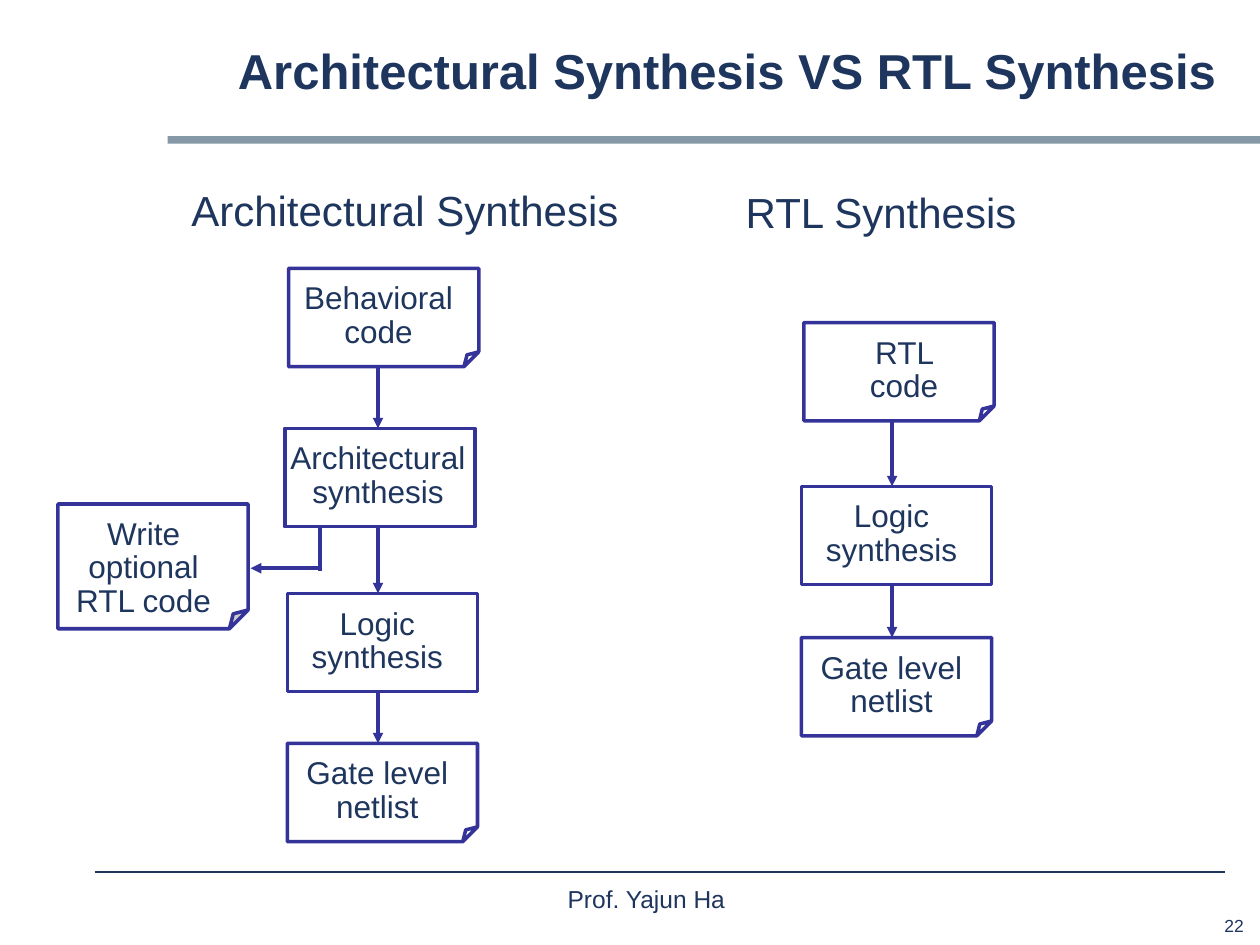
from dataclasses import dataclass

from lxml import etree
from pptx import Presentation
from pptx.dml.color import RGBColor
from pptx.enum.shapes import MSO_CONNECTOR, MSO_SHAPE
from pptx.enum.text import MSO_ANCHOR, MSO_AUTO_SIZE, PP_ALIGN
from pptx.oxml.ns import qn
from pptx.util import Inches, Pt

NAVY = RGBColor(0x1E, 0x35, 0x5E)
INDIGO = RGBColor(0x33, 0x33, 0x99)
SLATE = RGBColor(0x84, 0x99, 0xA5)
WHITE = RGBColor(0xFF, 0xFF, 0xFF)
FONT = "Arial"
LEFT, CENTER, RIGHT = PP_ALIGN.LEFT, PP_ALIGN.CENTER, PP_ALIGN.RIGHT
MIDDLE = MSO_ANCHOR.MIDDLE
NO_FIT, GROW = MSO_AUTO_SIZE.NONE, MSO_AUTO_SIZE.SHAPE_TO_FIT_TEXT
RECTANGLE, FOLDED = MSO_SHAPE.RECTANGLE, MSO_SHAPE.FOLDED_CORNER
STRAIGHT = MSO_CONNECTOR.STRAIGHT

COLUMNS, ROWS = 100, 75
SLIDE_WIDTH, SLIDE_HEIGHT = Inches(10), Inches(7.5)
NODE_WIDTH, NODE_HEIGHT = 15.1, 7.8
ARROW_OFFSET = 7.2
FOLD = 0.15


@dataclass
class Step:
    text: str
    row: float
    column: float = 0
    fold: float = 0
    label_offset: float = -0.2
    label_width: float = 14.7


def across(columns):
    return round(SLIDE_WIDTH * columns / COLUMNS)


def down(rows):
    return round(SLIDE_HEIGHT * rows / ROWS)


def place(left, top, width, height):
    return across(left), down(top), across(width), down(height)


def write_text(shape, text, size=18, bold=False, align=CENTER, spacing=0.88,
               wrap=True, fit=GROW):
    frame = shape.text_frame
    frame.word_wrap = wrap
    frame.auto_size = fit
    paragraph = frame.paragraphs[0]
    paragraph.text = text
    paragraph.alignment = align
    paragraph.line_spacing = spacing
    paragraph.font.name = FONT
    paragraph.font.size = Pt(size)
    paragraph.font.bold = bold
    paragraph.font.color.rgb = NAVY


def add_text(slide, box, text, **text_format):
    write_text(slide.shapes.add_textbox(*place(*box)), text, **text_format)


def add_line(slide, start, end, color=INDIGO, width=2, arrow=False):
    line = slide.shapes.add_connector(
        STRAIGHT, across(start[0]), down(start[1]), across(end[0]), down(end[1]))
    line.line.color.rgb = color
    line.line.width = Pt(width)
    properties = line._element.spPr
    if arrow:
        etree.SubElement(properties.find(qn("a:ln")), qn("a:tailEnd"), type="triangle")
    etree.SubElement(properties, qn("a:effectLst"))


def set_fold(shape, share):
    geometry = shape._element.spPr.find(qn("a:prstGeom"))
    guides = geometry.find(qn("a:avLst"))
    if guides is None:
        guides = etree.SubElement(geometry, qn("a:avLst"))
    for guide in list(guides):
        guides.remove(guide)
    etree.SubElement(guides, qn("a:gd"), name="adj", fmla=f"val {round(share * 100000)}")


def add_node(slide, box, step, fill=None):
    left, top, width, height = box
    node = slide.shapes.add_shape(FOLDED, *place(*box))
    set_fold(node, step.fold)
    node.shadow.inherit = False
    if fill is None:
        node.fill.background()
    else:
        node.fill.solid()
        node.fill.fore_color.rgb = fill
    node.line.color.rgb = INDIGO
    node.line.width = Pt(2)
    label_box = (left + step.label_offset, top + 0.7, step.label_width, height - 1.5)
    add_text(slide, label_box, step.text)


def add_flow(slide, left, top, steps):
    previous_bottom = None
    for step in steps:
        step_top = top + step.row
        add_node(slide, (left + step.column, step_top, NODE_WIDTH, NODE_HEIGHT), step)
        if previous_bottom is not None:
            arrow_column = left + ARROW_OFFSET
            add_line(slide, (arrow_column, previous_bottom),
                     (arrow_column, step_top), arrow=True)
        previous_bottom = step_top + NODE_HEIGHT


def add_optional_branch(slide, left, top):
    step = Step("Write optional RTL code", 0, fold=FOLD, label_width=14)
    add_node(slide, (left, top, NODE_WIDTH, 9.9), step, fill=WHITE)
    elbow = left + 20.8
    add_line(slide, (elbow, top + 5.1), (left + 15.3, top + 5.1), arrow=True)
    add_line(slide, (elbow, top + 1.9), (elbow, top + 5.3))


def add_header(slide, left, top, width):
    title = slide.shapes.title
    title.left, title.top, title.width, title.height = place(left, top, width - 2.5, 8.3)
    write_text(title, "Architectural Synthesis VS RTL Synthesis",
               size=28, bold=True, align=RIGHT, fit=NO_FIT)
    title.text_frame.vertical_anchor = MIDDLE
    band = slide.shapes.add_shape(RECTANGLE, *place(left, top + 9.1, width, 0.6))
    band.shadow.inherit = False
    band.fill.solid()
    band.fill.fore_color.rgb = SLATE
    band.line.fill.background()


def add_footer(slide, left, top, width):
    plain = {"spacing": 1, "wrap": False, "fit": NO_FIT}
    add_line(slide, (left, top), (left + width, top), color=NAVY, width=0.75)
    add_text(slide, (left + 26.7, top + 0.5, 34.2, 4.2), "Prof. Yajun Ha",
             size=14, **plain)
    add_text(slide, (left + 85.7, top + 2.9, 6.5, 2.6), "22",
             size=10, align=RIGHT, **plain)


def main():
    presentation = Presentation()
    presentation.slide_width, presentation.slide_height = SLIDE_WIDTH, SLIDE_HEIGHT
    slide = presentation.slides.add_slide(presentation.slide_layouts[5])

    add_header(slide, 13.3, 1.7, 86.7)
    add_footer(slide, 7.5, 69.2, 89.7)

    heading = {"size": 24, "align": LEFT, "wrap": False}
    add_text(slide, (14.2, 14.7, 35.9, 4.5), "Architectural Synthesis", **heading)
    add_text(slide, (58.2, 14.8, 23.6, 4.5), "RTL Synthesis", **heading)

    add_flow(slide, 22.8, 21.3, [
        Step("Behavioral code", 0, column=0.1, fold=FOLD),
        Step("Architectural synthesis", 12.7, column=-0.2,
             label_offset=-0.7, label_width=16.2),
        Step("Logic synthesis", 25.8),
        Step("Gate level netlist", 37.7, fold=FOLD),
    ])
    add_optional_branch(slide, 4.6, 40)
    add_flow(slide, 63.6, 25.6, [
        Step("RTL code", 0, column=0.2, fold=FOLD, label_offset=2.6, label_width=10.7),
        Step("Logic synthesis", 13),
        Step("Gate level netlist", 25, fold=FOLD),
    ])
    presentation.save("out.pptx")


if __name__ == "__main__":
    main()
